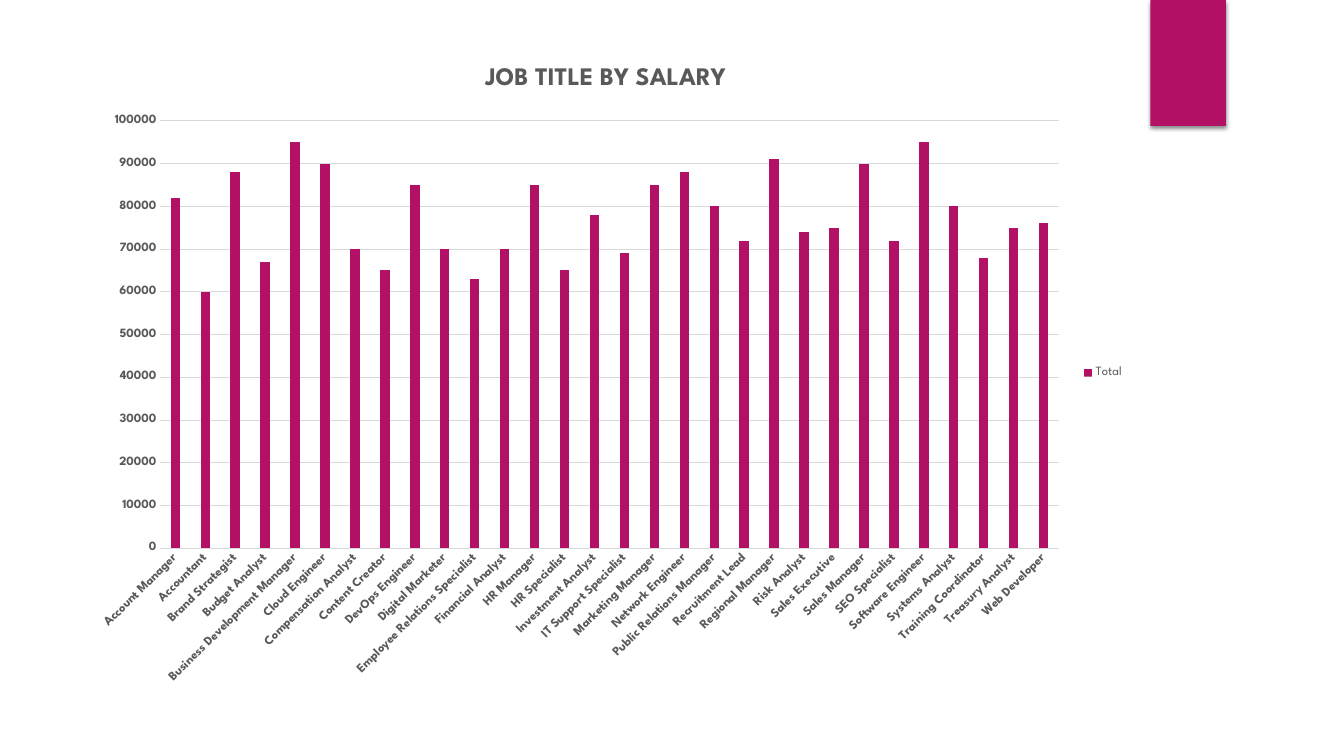
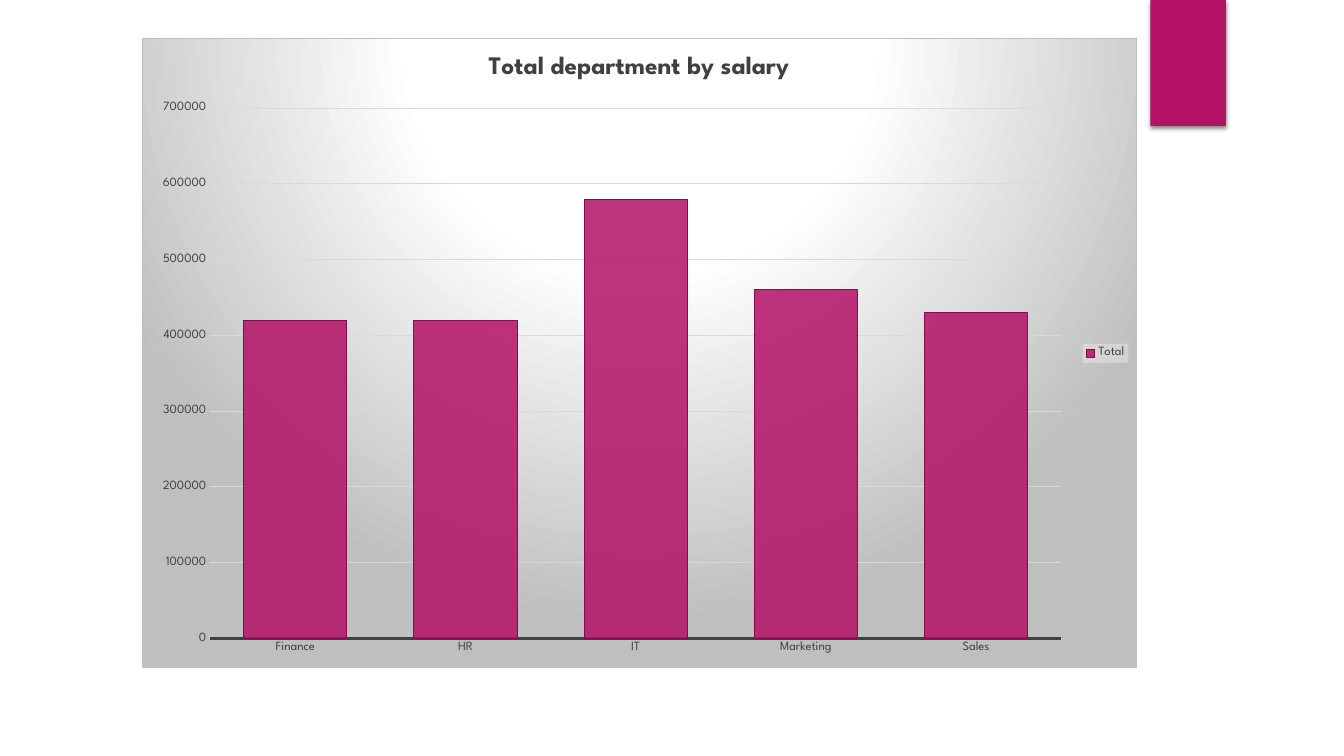
from lxml import etree
from pptx import Presentation
from pptx.chart.data import CategoryChartData
from pptx.dml.color import RGBColor
from pptx.enum.chart import XL_CHART_TYPE, XL_LEGEND_POSITION, XL_TICK_MARK
from pptx.enum.shapes import MSO_SHAPE
from pptx.oxml import parse_xml
from pptx.oxml.ns import nsdecls, qn
from pptx.util import Inches, Pt

FONT = "League Spartan"
MAGENTA, PLUM = "B31166", "860D4C"
GRID, BORDER, PALE = "D9D9D9", "BFBFBF", "F2F2F2"


def rgb(value):
    return RGBColor.from_string(value)


def style_font(font, color, size=9, bold=False):
    for name, value in dict(name=FONT, size=Pt(size), bold=bold).items():
        setattr(font, name, value)
    font.color.rgb = rgb(color)


# Data
salaries = {
    "Account Manager": 82000, "Accountant": 60000, "Brand Strategist": 88000,
    "Budget Analyst": 67000, "Business Development Manager": 95000,
    "Cloud Engineer": 90000, "Compensation Analyst": 70000,
    "Content Creator": 65000, "DevOps Engineer": 85000,
    "Digital Marketer": 70000, "Employee Relations Specialist": 63000,
    "Financial Analyst": 70000, "HR Manager": 85000, "HR Specialist": 65000,
    "Investment Analyst": 78000, "IT Support Specialist": 69000,
    "Marketing Manager": 85000, "Network Engineer": 88000,
    "Public Relations Manager": 80000, "Recruitment Lead": 72000,
    "Regional Manager": 91000, "Risk Analyst": 74000,
    "Sales Executive": 75000, "Sales Manager": 90000,
    "SEO Specialist": 72000, "Software Engineer": 95000,
    "Systems Analyst": 80000, "Training Coordinator": 68000,
    "Treasury Analyst": 75000, "Web Developer": 76000,
}
departments = {"Finance": 420000, "HR": 420000, "IT": 580000,
               "Marketing": 460000, "Sales": 430000}

# Places are in inches on the slide
charts = [
    dict(title="JOB TITLE BY SALARY", data=salaries, at=(0.8, 0.49, 10.45, 6.42),
         title_at=(4.77, 0.6), plot_at=(1.59, 1.2, 8.91, 4.24),
         text="595959", bold=True, axis=(GRID, 0.75), top=100000, step=10000,
         gap=219, overlap=-27, slanted=True, panel=False),
    dict(title="Total department by salary", data=departments,
         at=(1.41, 0.38, 9.87, 6.25),
         title_at=(4.8, 0.48), plot_at=(2.08, 1.07, 8.45, 5.27),
         text="404040", bold=False, axis=("404040", 1.5), top=700000, step=100000,
         gap=65, overlap=0, slanted=False, panel=True),
]

# Formatting that needs XML
SHADOW = f"""<a:effectLst {nsdecls('a')}>
  <a:outerShdw blurRad="38100" dist="25400" dir="5400000" rotWithShape="0">
    <a:srgbClr val="000000"><a:alpha val="45000"/></a:srgbClr>
  </a:outerShdw></a:effectLst>"""
PANEL = f"""<c:spPr {nsdecls('c', 'a')}>
  <a:gradFill><a:gsLst>
    <a:gs pos="0"><a:srgbClr val="FFFFFF"/></a:gs>
    <a:gs pos="39000"><a:srgbClr val="FFFFFF"/></a:gs>
    <a:gs pos="100000"><a:srgbClr val="{BORDER}"/></a:gs></a:gsLst>
    <a:path path="circle">
      <a:fillToRect l="50000" t="-80000" r="50000" b="180000"/></a:path>
  </a:gradFill>
  <a:ln w="9525"><a:solidFill><a:srgbClr val="{BORDER}"/></a:solidFill></a:ln>
</c:spPr>"""
LEGEND = f"""<c:spPr {nsdecls('c', 'a')}><a:solidFill>
  <a:srgbClr val="{PALE}"><a:alpha val="39000"/></a:srgbClr>
</a:solidFill></c:spPr>"""

prs = Presentation()
prs.slide_width, prs.slide_height = Inches(13.33), Inches(7.5)

for c in charts:
    s = prs.slides.add_slide(prs.slide_layouts[6])

    # Corner band
    sp = s.shapes.add_shape(MSO_SHAPE.RECTANGLE, Inches(11.41), 0,
                            Inches(0.75), Inches(1.25))
    sp.fill.solid()
    sp.fill.fore_color.rgb = rgb(MAGENTA)
    sp.line.fill.background()
    sp._element.spPr.append(parse_xml(SHADOW))

    # Chart and title
    data = CategoryChartData()
    data.categories = list(c["data"])
    data.add_series("Total", list(c["data"].values()))
    chart = s.shapes.add_chart(XL_CHART_TYPE.COLUMN_CLUSTERED,
                               *map(Inches, c["at"]), data).chart
    style_font(chart.font, "000000", 10)
    chart.has_title = True
    chart.chart_title.include_in_layout = False
    p = chart.chart_title.text_frame.paragraphs[0]
    r = p.add_run()
    r.text = c["title"]
    style_font(r.font, c["text"], 18, True)

    # Places of title and plot, as fractions of the chart
    left, top, width, height = c["at"]
    title = chart.chart_title._element
    plot_area = chart._chartSpace.find(qn("c:chart")).find(qn("c:plotArea"))
    for parent, place, index in ((title, c["title_at"], 1),
                                 (plot_area, c["plot_at"], 0)):
        for old in parent.findall(qn("c:layout")):
            parent.remove(old)
        layout = etree.Element(qn("c:layout"))
        manual = etree.SubElement(layout, qn("c:manualLayout"))
        x, y, *size = place
        parts = [("xMode", "edge"), ("yMode", "edge"),
                 ("x", (x - left) / width), ("y", (y - top) / height)]
        if size:
            parts.insert(0, ("layoutTarget", "inner"))
            parts += [("w", size[0] / width), ("h", size[1] / height)]
        for tag, value in parts:
            etree.SubElement(manual, qn(f"c:{tag}")).set("val", str(value))
        parent.insert(index, layout)

    # Legend
    chart.has_legend = True
    legend = chart.legend
    legend.position = XL_LEGEND_POSITION.RIGHT
    legend.include_in_layout = False
    style_font(legend.font, c["text"])

    # Axes
    cat, val = chart.category_axis, chart.value_axis
    for axis in (cat, val):
        axis.major_tick_mark = axis.minor_tick_mark = XL_TICK_MARK.NONE
        style_font(axis.tick_labels.font, c["text"], bold=c["bold"])
    for line, (color, weight) in ((cat.format.line, c["axis"]),
                                  (val.major_gridlines.format.line, (GRID, 0.75))):
        line.color.rgb = rgb(color)
        line.width = Pt(weight)
    val.format.line.fill.background()
    for name, value in dict(minimum_scale=0, maximum_scale=c["top"],
                            major_unit=c["step"]).items():
        setattr(val, name, value)
    if c["slanted"]:
        cat._element.find(qn("c:txPr")).find(qn("a:bodyPr")).set("rot", "-2700000")

    # Columns
    plot = chart.plots[0]
    for name, value in dict(gap_width=c["gap"], overlap=c["overlap"],
                            vary_by_categories=False).items():
        setattr(plot, name, value)
    fmt = plot.series[0].format
    fmt.fill.solid()
    fmt.fill.fore_color.rgb = rgb(MAGENTA)

    # Shaded panel with translucent columns and legend
    if c["panel"]:
        fmt.line.color.rgb = rgb(PLUM)
        fmt.line.width = Pt(0.75)
        fill = plot.series[0]._element.spPr.find(qn("a:solidFill"))
        etree.SubElement(fill[0], qn("a:alpha")).set("val", "85000")
        chart._chartSpace.find(qn("c:chart")).addnext(parse_xml(PANEL))
        legend._element.find(qn("c:txPr")).addprevious(parse_xml(LEGEND))

prs.save("out.pptx")
